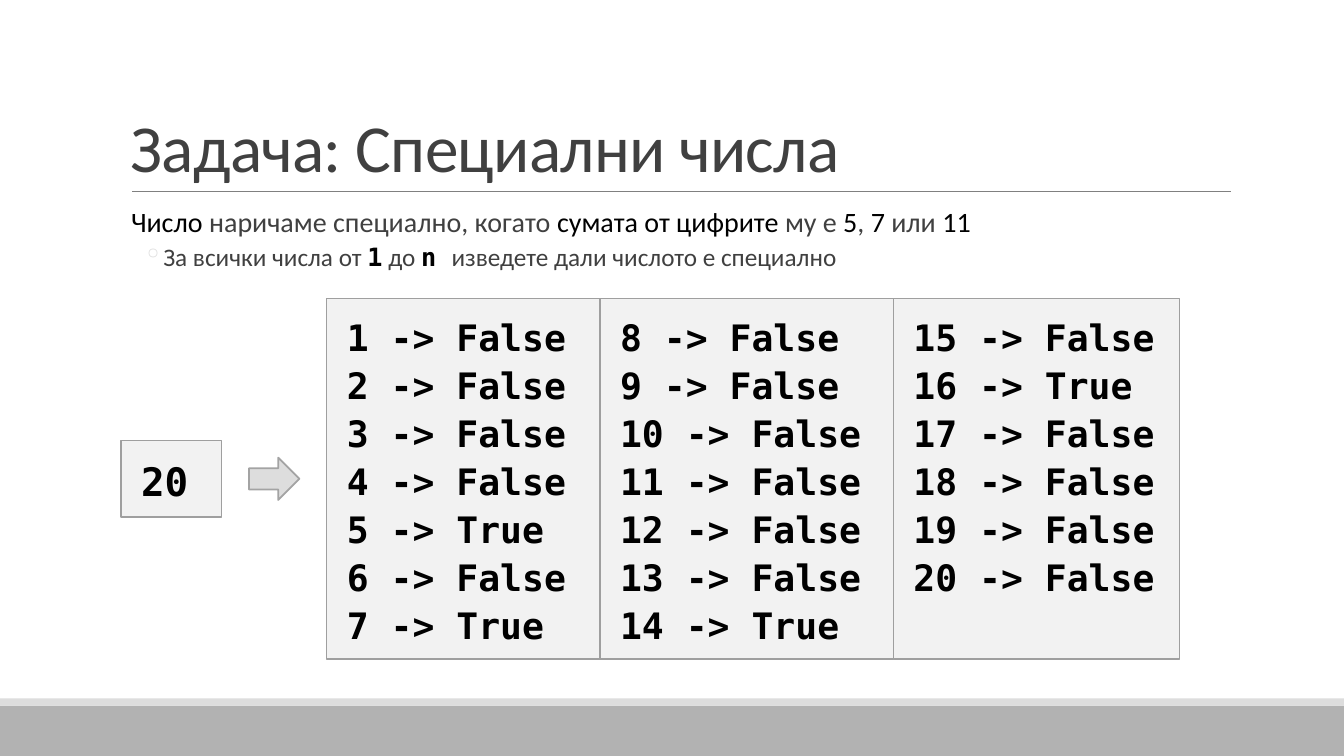
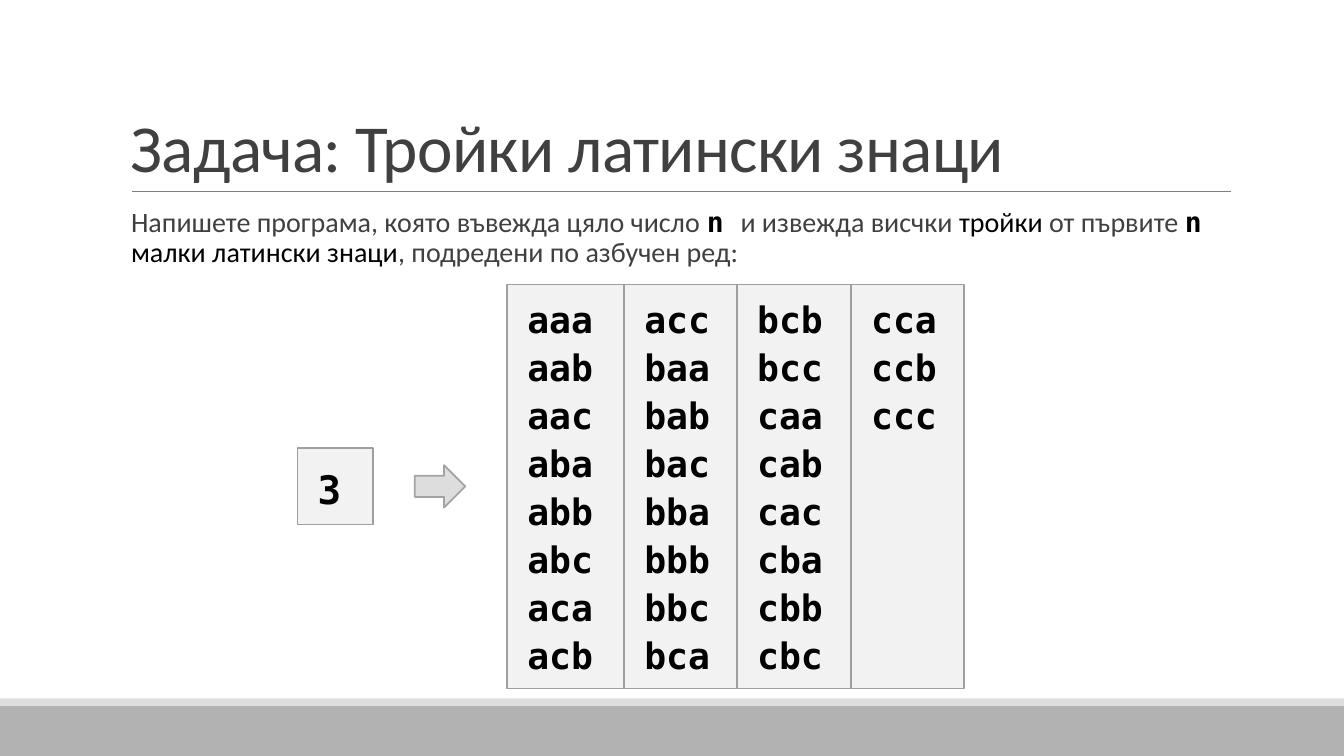
from dataclasses import dataclass
from itertools import product

from lxml.etree import SubElement
from pptx import Presentation
from pptx.dml.color import RGBColor as Rgb
from pptx.enum.shapes import MSO_CONNECTOR as Link, MSO_SHAPE as Kind
from pptx.enum.text import MSO_ANCHOR as Anchor, PP_ALIGN as Align
from pptx.oxml.ns import qn
from pptx.util import Inches, Pt


@dataclass(frozen=True)
class Theme:
    text: str = "404040"
    key: str = "000000"
    band: str = "B2B2B2"
    light: str = "DDDDDD"
    rule: str = "808080"
    cell: str = "BFBFBF"
    edge: str = "9F9F9F"
    rim: str = "A3A3A3"
    sans: str = "Calibri"
    mono: str = "DejaVu Sans Mono"
    head: int = 48
    lead: int = 20
    sub: int = 18
    given: int = 28
    out: int = 26


T = Theme()
PLAIN, KEY, CODE = "plain", "key", "code"
WIDE, HIGH = 13.33, 7.5
LEFT, SPAN = 1.2, 11
BOX_H, PAD = 0.76, 0.2
ARROW = (0.5, 0.42)


def is_special(num):
    return sum(map(int, str(num))) in (5, 7, 11)


SLIDES = [
    {
        "title": "Задача: Специални числа",
        "lead": [
            (KEY, "Число "), (PLAIN, "наричаме специално, когато "),
            (KEY, "сумата от цифрите "), (PLAIN, "му е "), (KEY, "5"),
            (PLAIN, ", "), (KEY, "7 "), (PLAIN, "или "), (KEY, "11"),
        ],
        "sub": [
            (PLAIN, "За всички числа от "), (CODE, "1"), (PLAIN, " до "),
            (CODE, "n "), (PLAIN, "изведете дали числото е специално"),
        ],
        "given": ("20", 1.2, 1),
        "out": [f"{num} -> {is_special(num)}" for num in range(1, 21)],
        "rows": 7,
        "grid": (3.24, 2.96, 3.58),
        "cols": [2.71, 2.91, 2.84],
        "inset": 0.12,
    },
    {
        "title": "Задача: Тройки латински знаци",
        "lead": [
            (PLAIN, "Напишете програма, която въвежда цяло число "),
            (CODE, "n "), (PLAIN, "и извежда висчки "), (KEY, "тройки "),
            (PLAIN, "от първите "), (CODE, "n "),
            (KEY, "малки латински знаци"),
            (PLAIN, ", подредени по азбучен ред:"),
        ],
        "sub": [],
        "given": ("3", 2.95, 0.75),
        "out": ["".join(trio) for trio in product("abc", repeat=3)],
        "rows": 8,
        "grid": (5.03, 2.82, 4.01),
        "cols": [1.16, 1.12, 1.13, 1.12],
        "inset": 0.08,
    },
]


def set_font(font, name, size, color, bold=False):
    font.name, font.size, font.bold = name, Pt(size), bold
    font.color.rgb = Rgb.from_string(color)


def set_frame(frame, side, top, anchor=Anchor.TOP):
    frame.word_wrap = True
    frame.vertical_anchor = anchor
    frame.margin_left = frame.margin_right = Inches(side)
    frame.margin_top = frame.margin_bottom = Inches(top)


def add_shape(shapes, kind, at, fill, edge=None, width=1):
    shape = shapes.add_shape(kind, *map(Inches, at))
    shape.shadow.inherit = False
    shape.fill.solid()
    shape.fill.fore_color.rgb = Rgb.from_string(fill)
    if edge:
        shape.line.color.rgb = Rgb.from_string(edge)
        shape.line.width = Pt(width)
    else:
        shape.line.fill.background()
    return shape


def add_box(shapes, at, lines, size, inset):
    box = add_shape(shapes, Kind.RECTANGLE, at, T.cell, T.edge)
    tint = box.fill._xPr.find(qn("a:solidFill"))[0]
    SubElement(tint, qn("a:alpha"), val="20000")
    frame = box.text_frame
    set_frame(frame, PAD, inset)
    for pos, line in enumerate(lines):
        para = frame.add_paragraph() if pos else frame.paragraphs[0]
        para.text = line
        para.alignment = Align.LEFT
        para.line_spacing = 1.1
        set_font(para.font, T.mono, size, T.key, True)


def add_text(slide, at, side, anchor=Anchor.TOP):
    frame = slide.shapes.add_textbox(*map(Inches, at)).text_frame
    set_frame(frame, side, 0.05, anchor)
    return frame


def add_base(slide, title):
    for top, tall, color in ((7, 0.5, T.band), (6.93, 0.07, T.light)):
        add_shape(slide.shapes, Kind.RECTANGLE, (0, top, WIDE, tall), color)
    ends = map(Inches, (1.31, 1.9, 12.21, 1.9))
    rule = slide.shapes.add_connector(Link.STRAIGHT, *ends)
    rule.line.color.rgb = Rgb.from_string(T.rule)
    rule.line.width = Pt(0.5)
    SubElement(rule._element.spPr, qn("a:effectLst"))
    para = add_text(slide, (LEFT, 0.31, SPAN, 1.59), 0.1, Anchor.BOTTOM).paragraphs[0]
    para.line_spacing = 0.85
    run = para.add_run()
    run.text = title
    set_font(para.font, T.sans, T.head, T.text)
    run._r.get_or_add_rPr().set("spc", "-50")


def fill_para(para, runs, size, left, hang, before, after):
    para.line_spacing = 0.9
    para.space_before, para.space_after = Pt(before), Pt(after)
    props = para._p.get_or_add_pPr()
    props.set("marL", str(Inches(left)))
    props.set("indent", str(Inches(-hang)))
    if hang:
        tint = SubElement(props, qn("a:buClr"))
        SubElement(tint, qn("a:srgbClr"), val=T.light)
        SubElement(props, qn("a:buChar"), char="◦")
    for style, text in runs:
        run = para.add_run()
        run.text = text
        code = style == CODE
        set_font(run.font, T.mono if code else T.sans, size,
                 T.text if style == PLAIN else T.key, code)


def add_body(slide, lead, sub):
    frame = add_text(slide, (LEFT, 2.02, SPAN, 4.4), 0)
    fill_para(frame.paragraphs[0], lead, T.lead, 0.1, 0, 12, 2)
    if sub:
        fill_para(frame.add_paragraph(), sub, T.sub, 0.42, 0.2, 2, 4)


def add_demo(slide, data):
    shapes = slide.shapes.add_group_shape().shapes
    text, left, width = data["given"]
    start, top, tall = data["grid"]
    mid = top + tall / 2
    add_box(shapes, (left, mid - BOX_H / 2, width, BOX_H), [text], T.given, 0.12)
    wide, high = ARROW
    center = (left + width + start) / 2
    add_shape(shapes, Kind.RIGHT_ARROW,
              (center - wide / 2, mid - high / 2, wide, high),
              T.light, T.rim, 1.25)
    rows = data["rows"]
    for col, width in enumerate(data["cols"]):
        lines = data["out"][col * rows:(col + 1) * rows]
        add_box(shapes, (start, top, width, tall), lines, T.out, data["inset"])
        start += width


def main():
    deck = Presentation()
    deck.slide_width, deck.slide_height = Inches(WIDE), Inches(HIGH)
    for data in SLIDES:
        slide = deck.slides.add_slide(deck.slide_layouts[6])
        add_base(slide, data["title"])
        add_body(slide, data["lead"], data["sub"])
        add_demo(slide, data)
    deck.save("out.pptx")


if __name__ == "__main__":
    main()
